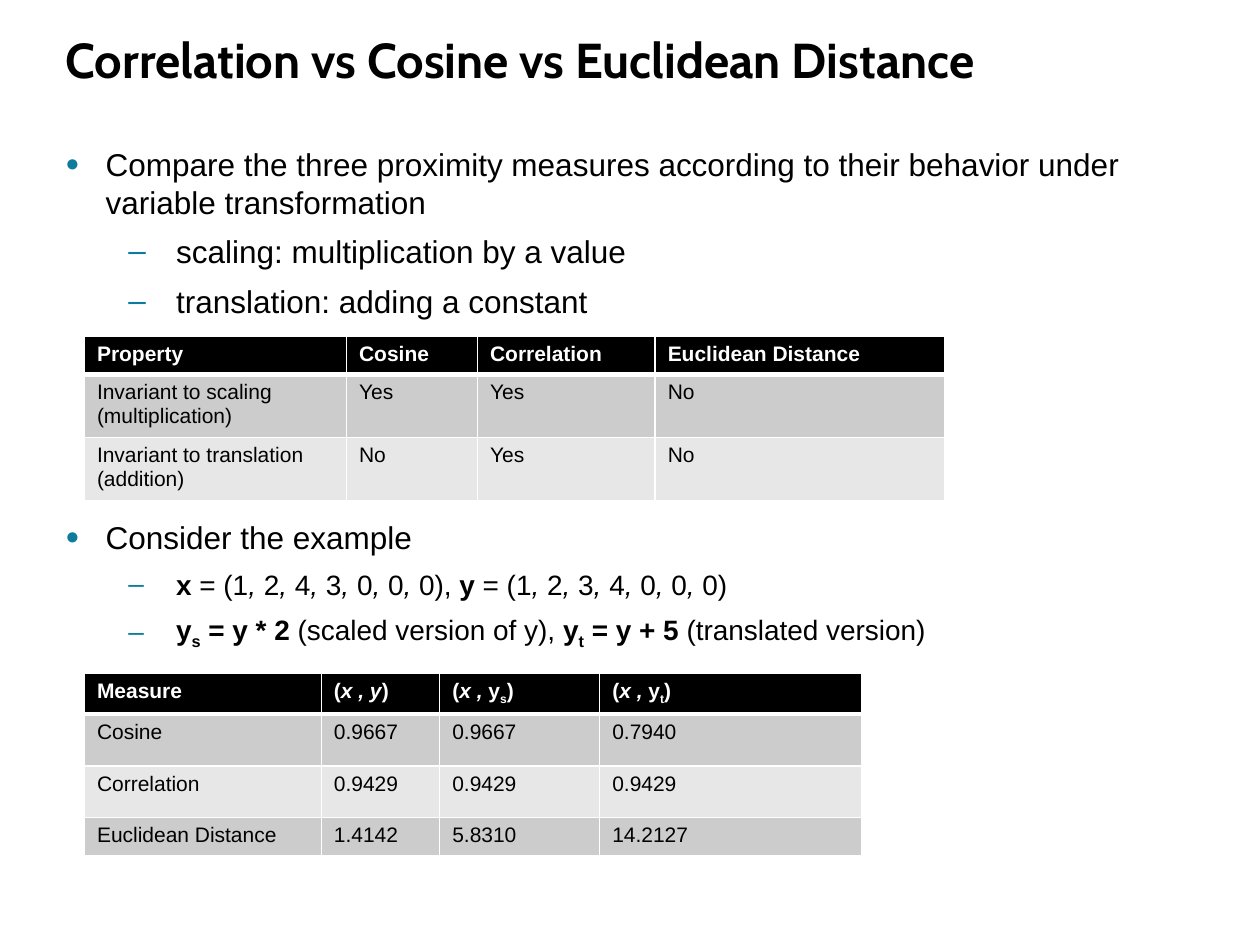
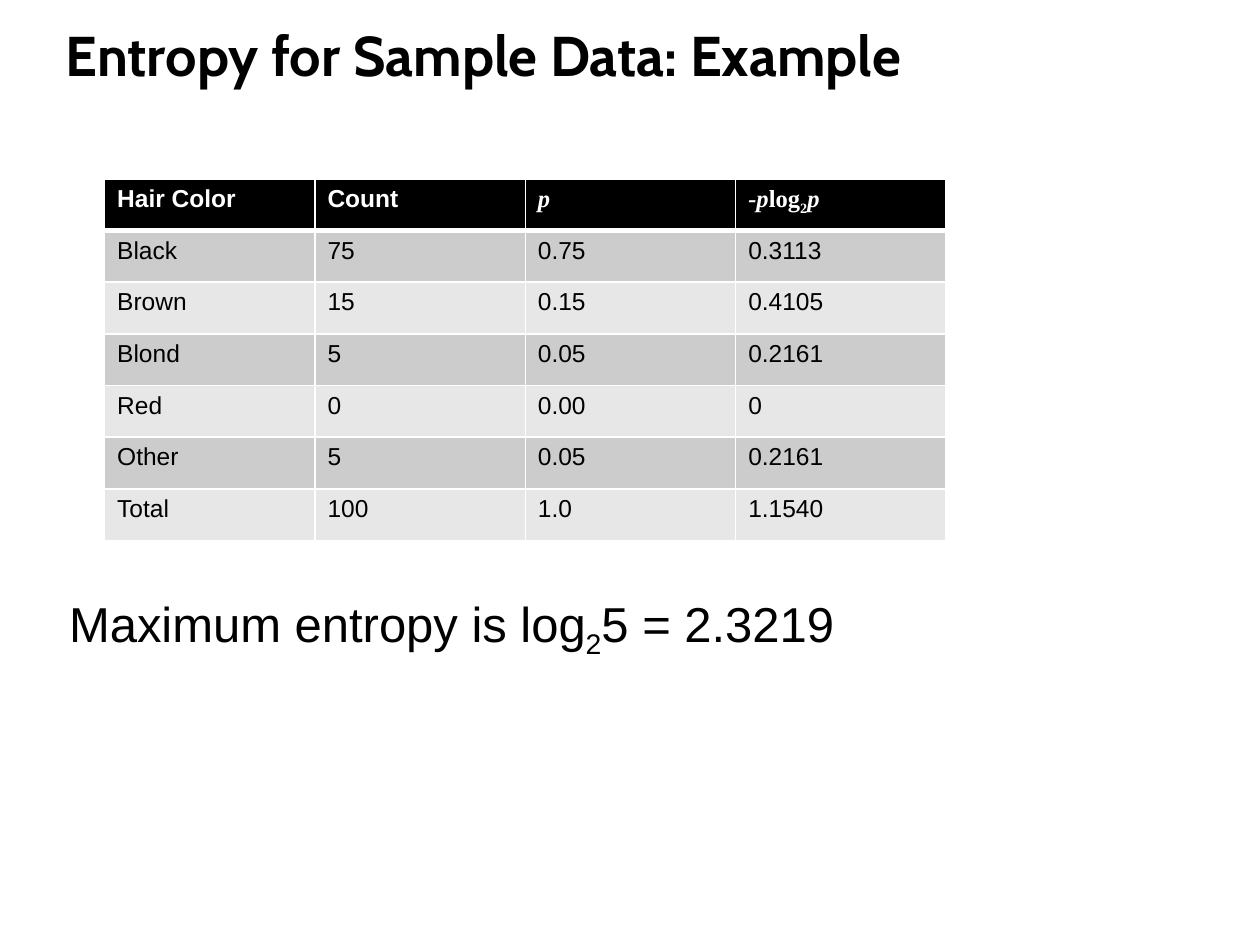
from dataclasses import dataclass

from lxml import etree
from pptx import Presentation
from pptx.dml import color
from pptx.enum import text
from pptx.oxml import ns
from pptx.util import Inches, Pt


@dataclass(frozen=True)
class Theme:
    title_font: str = "Cabin"
    body_font: str = "Arial"
    math_font: str = "Times New Roman"
    ink: str = "000000"
    paper: str = "FFFFFF"
    accent: str = "0C7B9C"
    bands: tuple = ("CCCCCC", "E7E7E7")
    title_line: float = 36
    point_size: float = 18
    example_size: float = 16
    result_size: float = 28
    space_before: float = 2.7
    space_after: float = 4
    rule: float = 1
    header_rule: float = 3


THEME = Theme()
TITLE_AREA = (0.42, 0.17, 9.06, 0.58)


def vector(name, values, ending=""):
    """Spans for a bold name and its values, parted by italic commas."""
    spans = [(name, "b"), (f" = ({values[0]}", "")]
    for value in values[1:]:
        spans += [(", ", "i"), (str(value), "")]
    return spans + [(")" + ending, "")]


# Content: rich text is a list of (words, flags);
# flags are b bold, i italic, s subscript, m mathematical font
PROXIMITY = {
    "title": ("Correlation vs Cosine vs Euclidean Distance", 28),
    "texts": [
        {"area": (0.42, 1.1, 9.1, 1.45), "paragraphs": [
            ("point", THEME.point_size,
             "Compare the three proximity measures according to their "
             "behavior under variable transformation"),
            ("detail", THEME.point_size, "scaling: multiplication by a value"),
            ("detail", THEME.point_size, "translation: adding a constant"),
        ]},
        {"area": (0.42, 4.06, 9.1, 1.2), "paragraphs": [
            ("point", THEME.point_size, "Consider the example"),
            ("detail", THEME.example_size,
             vector("x", (1, 2, 4, 3, 0, 0, 0), ", ")
             + vector("y", (1, 2, 3, 4, 0, 0, 0))),
            ("detail", THEME.example_size,
             [("y", "b"), ("s", "bs"), (" = y * 2 ", "b"),
              ("(scaled version of y), ", ""),
              ("y", "b"), ("t", "bs"), (" = y + 5 ", "b"),
              ("(translated version)", "")]),
        ]},
    ],
    "tables": [
        {"corner": (0.67, 2.67), "size": 12,
         "widths": (2.08, 1.04, 1.41, 2.3), "heights": (0.29, 0.47, 0.47),
         "rows": [
             ("Property", "Cosine", "Correlation", "Euclidean Distance"),
             ("Invariant to scaling (multiplication)", "Yes", "Yes", "No"),
             ("Invariant to translation (addition)", "No", "Yes", "No"),
         ]},
        {"corner": (0.67, 5.34), "size": 12,
         "widths": (1.88, 0.94, 1.27, 2.08),
         "heights": (0.31, 0.41, 0.41, 0.29),
         "rows": [
             ("Measure",
              [("(", ""), ("x , y", "i"), (")", "")],
              [("(", ""), ("x , ", "i"), ("y", ""), ("s", "s"), (")", "")],
              [("(", ""), ("x , ", "i"), ("y", ""), ("t", "s"), (")", "")]),
             ("Cosine", "0.9667", "0.9667", "0.7940"),
             ("Correlation", "0.9429", "0.9429", "0.9429"),
             ("Euclidean Distance", "1.4142", "5.8310", "14.2127"),
         ]},
    ],
}

ENTROPY = {
    "title": ("Entropy for Sample Data: Example", 32),
    "texts": [
        {"area": (0.45, 4.66, 9.1, 0.6), "paragraphs": [
            ("plain", THEME.result_size,
             [("Maximum entropy is log", ""), ("2", "s"), ("5 = 2.3219", "")]),
        ]},
    ],
    "tables": [
        {"corner": (0.83, 1.42), "size": 14,
         "widths": (1.67,) * 4, "heights": (0.41,) * 7,
         "rows": [
             ("Hair Color", "Count", [("p", "im")],
              [("-p", "im"), ("log", "m"), ("2", "ms"), ("p", "im")]),
             ("Black", "75", "0.75", "0.3113"),
             ("Brown", "15", "0.15", "0.4105"),
             ("Blond", "5", "0.05", "0.2161"),
             ("Red", "0", "0.00", "0"),
             ("Other", "5", "0.05", "0.2161"),
             ("Total", "100", "1.0", "1.1540"),
         ]},
    ],
}

# Bullet levels: left indent, hanging indent, mark, mark size in percent
LEVELS = {"point": (0.32, -0.32, "●", 75), "detail": (0.88, -0.38, "–", 100)}


# Text helpers
def apply(target, values):
    for name, value in values.items():
        setattr(target, name, value)


def add_child(parent, tag, **attributes):
    return etree.SubElement(parent, ns.qn(tag), attributes)


def write(para, content, size, ink=THEME.ink, bold=False,
          font=THEME.body_font):
    spans = [(content, "")] if isinstance(content, str) else content
    for words, flags in spans:
        span = para.add_run()
        span.text = words
        apply(span.font, {
            "name": THEME.math_font if "m" in flags else font,
            "size": Pt(size),
            "bold": bold or "b" in flags,
            "italic": "i" in flags,
        })
        span.font.color.rgb = color.RGBColor.from_string(ink)
        if "s" in flags:
            span.font._element.set("baseline", "-25000")


def add_bullet(para, level):
    left, hanging, mark, percent = LEVELS[level]
    props = para._p.get_or_add_pPr()
    props.set("marL", str(Inches(left)))
    props.set("indent", str(Inches(hanging)))
    add_child(add_child(props, "a:buClr"), "a:srgbClr", val=THEME.accent)
    add_child(props, "a:buSzPct", val=str(percent * 1000))
    add_child(props, "a:buFont", typeface=THEME.body_font)
    add_child(props, "a:buChar", char=mark)


# Slide parts
def set_title(page, words, size):
    title = page.shapes.title
    apply(title, dict(zip(("left", "top", "width", "height"),
                          map(Inches, TITLE_AREA))))
    apply(title.text_frame, {
        "vertical_anchor": text.MSO_ANCHOR.BOTTOM,
        "auto_size": text.MSO_AUTO_SIZE.NONE,
        "word_wrap": True,
    })
    para = title.text_frame.paragraphs[0]
    apply(para, {"alignment": text.PP_ALIGN.LEFT,
                 "line_spacing": Pt(THEME.title_line)})
    write(para, words, size, bold=True, font=THEME.title_font)


def add_text(page, area, paragraphs):
    frame = page.shapes.add_textbox(*map(Inches, area)).text_frame
    frame.word_wrap = True
    for index, (level, size, content) in enumerate(paragraphs):
        para = frame.add_paragraph() if index else frame.paragraphs[0]
        apply(para, {"space_before": Pt(THEME.space_before if index else 0),
                     "space_after": Pt(THEME.space_after)})
        if level in LEVELS:
            add_bullet(para, level)
        write(para, content, size)


def set_borders(cell, row):
    props = cell._tc.get_or_add_tcPr()
    heavy = {"a:lnB": 0, "a:lnT": 1}
    for side in ("a:lnL", "a:lnR", "a:lnT", "a:lnB"):
        width = THEME.header_rule if heavy.get(side) == row else THEME.rule
        line = add_child(props, side, w=str(Pt(width)))
        add_child(add_child(line, "a:solidFill"), "a:srgbClr", val=THEME.paper)


def add_grid(page, corner, size, widths, heights, rows):
    extent = (*corner, sum(widths), sum(heights))
    table = page.shapes.add_table(
        len(rows), len(widths), *map(Inches, extent)).table
    table.horz_banding = False
    for column, width in zip(table.columns, widths):
        column.width = Inches(width)
    for row, (line, height) in enumerate(zip(rows, heights)):
        table.rows[row].height = Inches(height)
        header = row == 0
        fill = THEME.ink if header else THEME.bands[(row - 1) % 2]
        for column, content in enumerate(line):
            cell = table.cell(row, column)
            set_borders(cell, row)
            cell.fill.solid()
            cell.fill.fore_color.rgb = color.RGBColor.from_string(fill)
            write(cell.text_frame.paragraphs[0], content, size,
                  THEME.paper if header else THEME.ink, bold=header)


def main():
    deck = Presentation()
    apply(deck, {"slide_width": Inches(10), "slide_height": Inches(7.5)})
    for content in (PROXIMITY, ENTROPY):
        page = deck.slides.add_slide(deck.slide_layouts[5])
        set_title(page, *content["title"])
        for block in content["texts"]:
            add_text(page, **block)
        for grid in content["tables"]:
            add_grid(page, **grid)
    deck.save("out.pptx")


if __name__ == "__main__":
    main()
